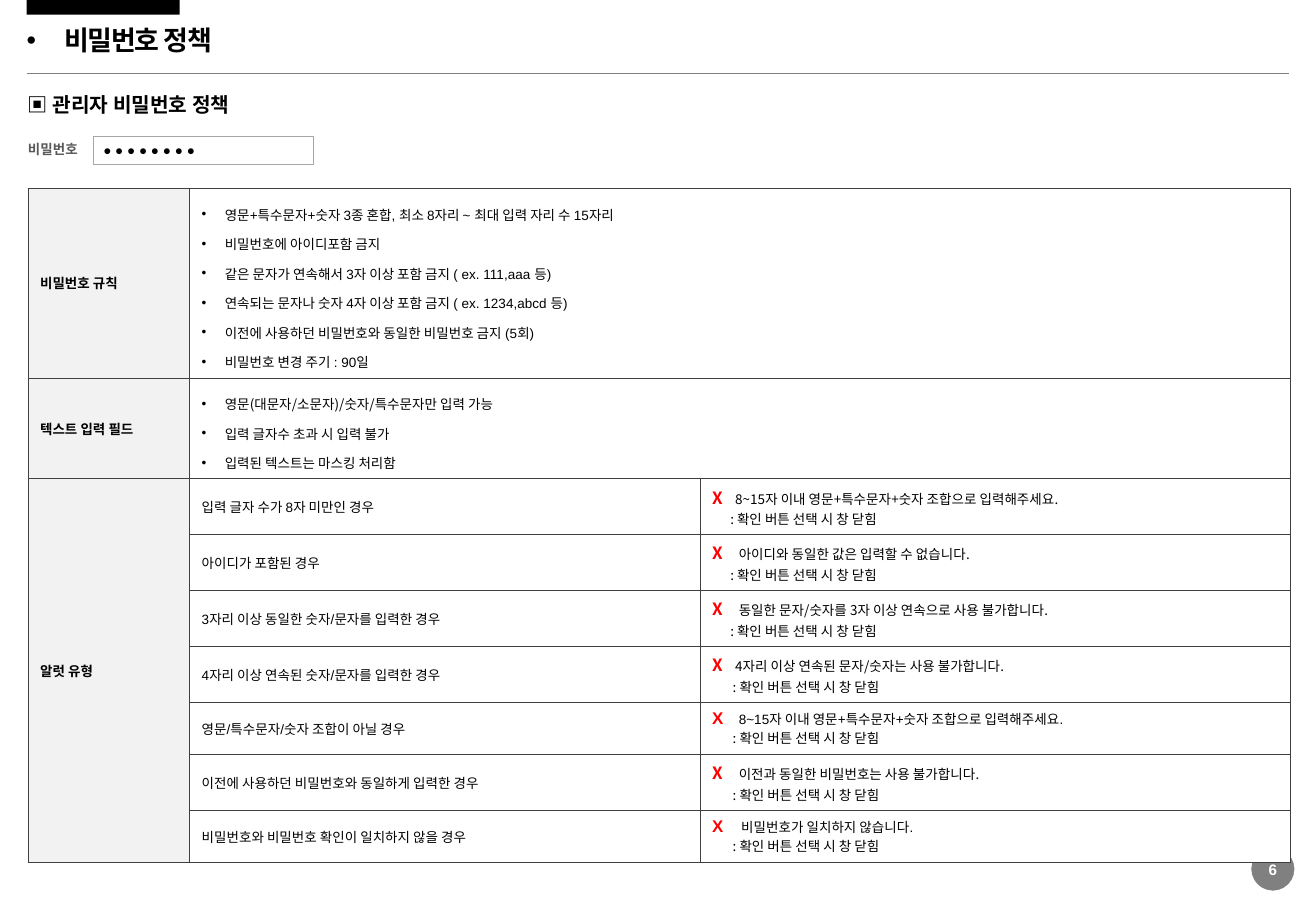
from lxml.etree import SubElement
from pptx import Presentation
from pptx.dml.color import RGBColor
from pptx.enum.shapes import MSO_CONNECTOR, MSO_SHAPE
from pptx.enum.text import MSO_ANCHOR, PP_ALIGN
from pptx.oxml.ns import qn
from pptx.util import Inches, Pt

BLACK = RGBColor(0, 0, 0)
WHITE = RGBColor(255, 255, 255)
RED = RGBColor(255, 0, 0)
GRAY = RGBColor(0x80, 0x80, 0x80)
LABEL_GRAY = RGBColor(0x59, 0x59, 0x59)
FIELD_LINE = RGBColor(0xA6, 0xA6, 0xA6)
HEADER_FILL = RGBColor(0xF2, 0xF2, 0xF2)
BORDER = "404040"
NOTO, ARIAL = "Noto Sans CJK KR", "Arial"

TITLE = "비밀번호 정책"
SECTION = "▣ 관리자 비밀번호 정책"
FIELD_LABEL, FIELD_VALUE = "비밀번호", "● ● ● ● ● ● ● ●"
PAGE_NUMBER = "6"
RULES = [
    ("비밀번호 규칙", ARIAL, [
        "영문+특수문자+숫자 3종 혼합, 최소 8자리 ~ 최대 입력 자리 수 15자리",
        "비밀번호에 아이디포함 금지",
        "같은 문자가 연속해서 3자 이상 포함 금지 ( ex. 111,aaa 등)",
        "연속되는 문자나 숫자 4자 이상 포함 금지 ( ex. 1234,abcd 등)",
        "이전에 사용하던 비밀번호와 동일한 비밀번호 금지 (5회)",
        "비밀번호 변경 주기 : 90일",
    ]),
    ("텍스트 입력 필드", NOTO, [
        "영문(대문자/소문자)/숫자/특수문자만 입력 가능",
        "입력 글자수 초과 시 입력 불가",
        "입력된 텍스트는 마스킹 처리함",
    ]),
]
ALERT_HEADER = "알럿 유형"
ALERT_ACTION = ": 확인 버튼 선택 시 창 닫힘"
# condition, message, message font, message offset, action indent
ALERTS = [
    ("입력 글자 수가 8자 미만인 경우",
     "8~15자 이내 영문+특수문자+숫자 조합으로 입력해주세요.", NOTO, 0.19, 0.15),
    ("아이디가 포함된 경우",
     "아이디와 동일한 값은 입력할 수 없습니다.", NOTO, 0.22, 0.15),
    ("3자리 이상 동일한 숫자/문자를 입력한 경우",
     "동일한 문자/숫자를 3자 이상 연속으로 사용 불가합니다.", NOTO, 0.22, 0.15),
    ("4자리 이상 연속된 숫자/문자를 입력한 경우",
     "4자리 이상 연속된 문자/숫자는 사용 불가합니다.", NOTO, 0.19, 0.17),
    ("영문/특수문자/숫자 조합이 아닐 경우",
     "8~15자 이내 영문+특수문자+숫자 조합으로 입력해주세요.", ARIAL, 0.22, 0.17),
    ("이전에 사용하던 비밀번호와 동일하게 입력한 경우",
     "이전과 동일한 비밀번호는 사용 불가합니다.", NOTO, 0.22, 0.17),
    ("비밀번호와 비밀번호 확인이 일치하지 않을 경우",
     "비밀번호가 일치하지 않습니다.", ARIAL, 0.24, 0.17),
]
COLUMN_WIDTHS = [1.33, 4.2, 4.86]
ROW_HEIGHTS = [1.56, 0.83, 0.46, 0.46, 0.46, 0.46, 0.43, 0.46, 0.43]


def style(font, size, name, color=BLACK, bold=False):
    font.size, font.name, font.bold = Pt(size), name, bold
    font.color.rgb = color


def write(paragraph, text, *look):
    paragraph.text = text
    style(paragraph.font, *look)


def indent(paragraph, left, bullet=False):
    """Indent a paragraph, hanging a bullet in the margin if asked."""
    props = paragraph._p.get_or_add_pPr()
    props.set("marL", str(Inches(left)))
    props.set("indent", str(-Inches(left) if bullet else 0))
    if bullet:
        SubElement(props, qn("a:buFont"), typeface=ARIAL)
        SubElement(props, qn("a:buChar"), char="•")


def add_text(left, top, width, height, text, *look, wrap=False):
    frame = slide.shapes.add_textbox(*map(Inches, (left, top, width, height))).text_frame
    frame.margin_left = frame.margin_right = frame.margin_top = frame.margin_bottom = 0
    frame.word_wrap = wrap
    frame.vertical_anchor = MSO_ANCHOR.MIDDLE
    write(frame.paragraphs[0], text, *look)
    return frame.paragraphs[0]


def add_block(kind, left, top, width, height, fill, line=None):
    block = slide.shapes.add_shape(kind, *map(Inches, (left, top, width, height)))
    block.shadow.inherit = False
    block.fill.solid()
    block.fill.fore_color.rgb = fill
    if line is None:
        block.line.fill.background()
    else:
        block.line.color.rgb = line
        block.line.width = Pt(0.25)
    return block.text_frame


def frame_cell(cell, fill):
    """Give a cell thin borders, a fill and middle anchoring."""
    props = cell._tc.get_or_add_tcPr()
    for side in ("lnL", "lnR", "lnT", "lnB"):
        edge = SubElement(props, qn(f"a:{side}"), w=str(Pt(0.25)))
        SubElement(SubElement(edge, qn("a:solidFill")), qn("a:srgbClr"), val=BORDER)
    cell.fill.solid()
    cell.fill.fore_color.rgb = fill
    cell.vertical_anchor = MSO_ANCHOR.MIDDLE


def write_alert(frame, message, font_name, offset, action_indent):
    first, second = frame.paragraphs[0], frame.add_paragraph()
    tabs = SubElement(first._p.get_or_add_pPr(), qn("a:tabLst"))
    SubElement(tabs, qn("a:tab"), pos=str(Inches(offset)), algn="l")
    mark, detail = first.add_run(), first.add_run()
    mark.text, detail.text = "X", "\t" + message
    style(mark.font, 10, font_name, RED, True)
    style(detail.font, 8, font_name)
    indent(second, action_indent)
    write(second, ALERT_ACTION, 8, NOTO)


prs = Presentation()
prs.slide_width, prs.slide_height = Inches(10.83), Inches(7.5)
slide = prs.slides.add_slide(prs.slide_layouts[6])

# Page frame and title
add_block(MSO_SHAPE.RECTANGLE, 0.22, 0, 1.26, 0.12, BLACK)
divider = slide.shapes.add_connector(
    MSO_CONNECTOR.STRAIGHT, Inches(0.22), Inches(0.6), Inches(10.61), Inches(0.6))
divider.line.color.rgb = GRAY
divider.line.width = Pt(0.25)
SubElement(divider._element.spPr, qn("a:effectLst"))
badge = add_block(MSO_SHAPE.OVAL, 10.3, 6.98, 0.35, 0.35, GRAY, GRAY)
badge.margin_left = badge.margin_right = badge.margin_top = badge.margin_bottom = 0
write(badge.paragraphs[0], PAGE_NUMBER, 9, ARIAL, WHITE, True)
badge.paragraphs[0].alignment = PP_ALIGN.CENTER
title = add_text(0.22, 0.19, 6.5, 0.31, TITLE, 16, NOTO, BLACK, True)
indent(title, 0.31, bullet=True)
title.line_spacing = 0.9
for run in title.runs:
    run.font._element.set("spc", "-70")

# Policy table
table = slide.shapes.add_table(
    len(ROW_HEIGHTS), len(COLUMN_WIDTHS), Inches(0.23), Inches(1.55),
    Inches(sum(COLUMN_WIDTHS)), Inches(sum(ROW_HEIGHTS))).table
table.first_row = table.horz_banding = False
for column, width in zip(table.columns, COLUMN_WIDTHS):
    column.width = Inches(width)
for row, height in zip(table.rows, ROW_HEIGHTS):
    row.height = Inches(height)
    for index, cell in enumerate(row.cells):
        frame_cell(cell, WHITE if index else HEADER_FILL)

for row, (header, font_name, items) in enumerate(RULES):
    write(table.cell(row, 0).text_frame.paragraphs[0], header, 8, NOTO, BLACK, True)
    table.cell(row, 1).merge(table.cell(row, 2))
    frame = table.cell(row, 1).text_frame
    for index, item in enumerate(items):
        paragraph = frame.add_paragraph() if index else frame.paragraphs[0]
        indent(paragraph, 0.19, bullet=True)
        paragraph.line_spacing = 1.5
        write(paragraph, item, 8, font_name)

first_alert = len(RULES)
table.cell(first_alert, 0).merge(table.cell(len(ROW_HEIGHTS) - 1, 0))
write(table.cell(first_alert, 0).text_frame.paragraphs[0], ALERT_HEADER, 8, NOTO, BLACK, True)
for row, (condition, *alert) in enumerate(ALERTS, first_alert):
    write(table.cell(row, 1).text_frame.paragraphs[0], condition, 8, ARIAL)
    write_alert(table.cell(row, 2).text_frame, *alert)

# Password field and section heading
field = add_block(MSO_SHAPE.RECTANGLE, 0.77, 1.12, 1.81, 0.23, WHITE, FIELD_LINE)
field.margin_left = field.margin_right = field.margin_top = field.margin_bottom = Inches(0.08)
field.vertical_anchor = MSO_ANCHOR.MIDDLE
write(field.paragraphs[0], FIELD_VALUE, 8, ARIAL)
field.paragraphs[0].alignment = PP_ALIGN.LEFT
add_text(0.23, 1.16, 0.45, 0.13, FIELD_LABEL, 8, ARIAL, LABEL_GRAY, True)
section = add_text(0.23, 0.76, 10.38, 0.23, SECTION, 12, NOTO, BLACK, True, wrap=True)
section.line_spacing = 0.9

prs.save("out.pptx")
